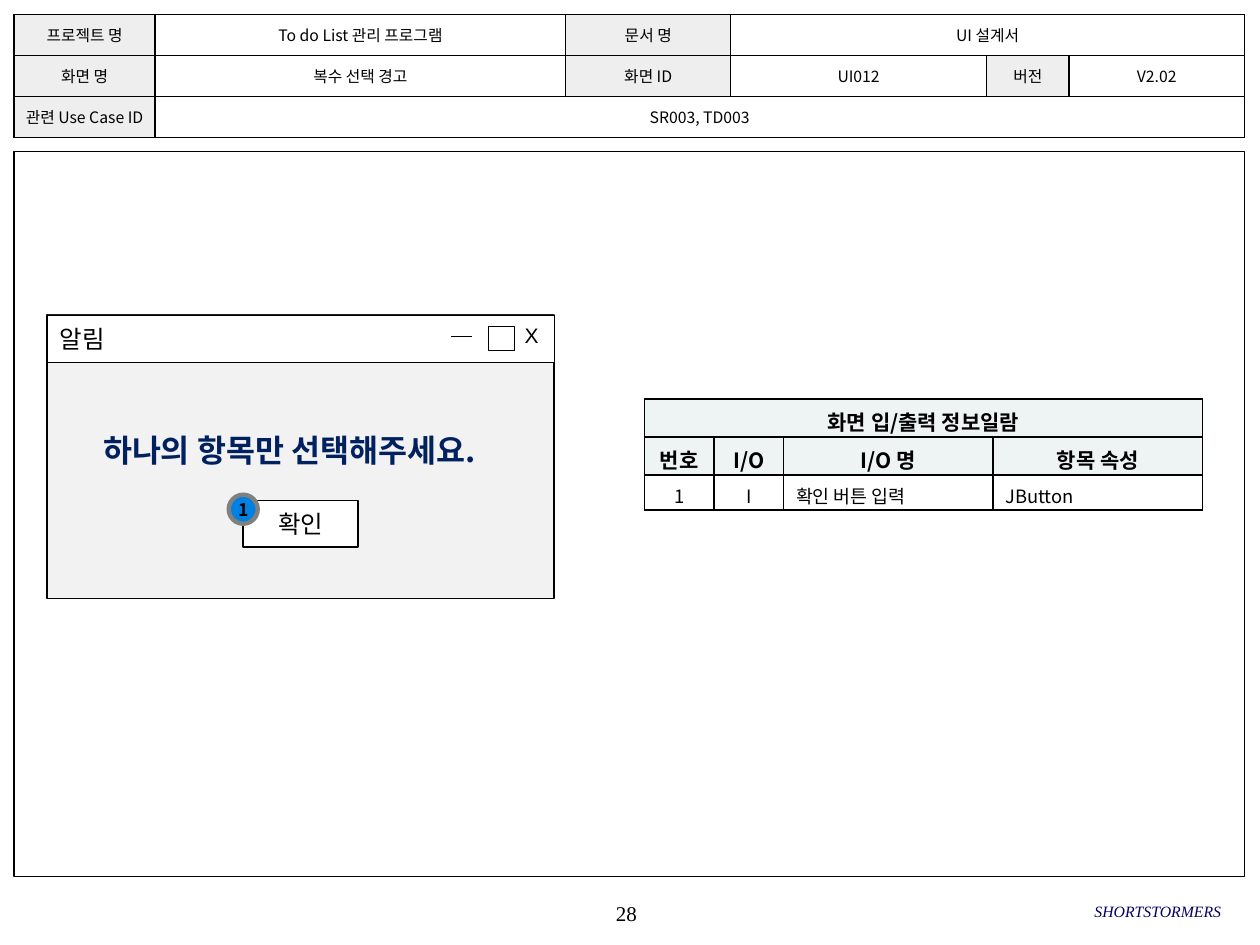
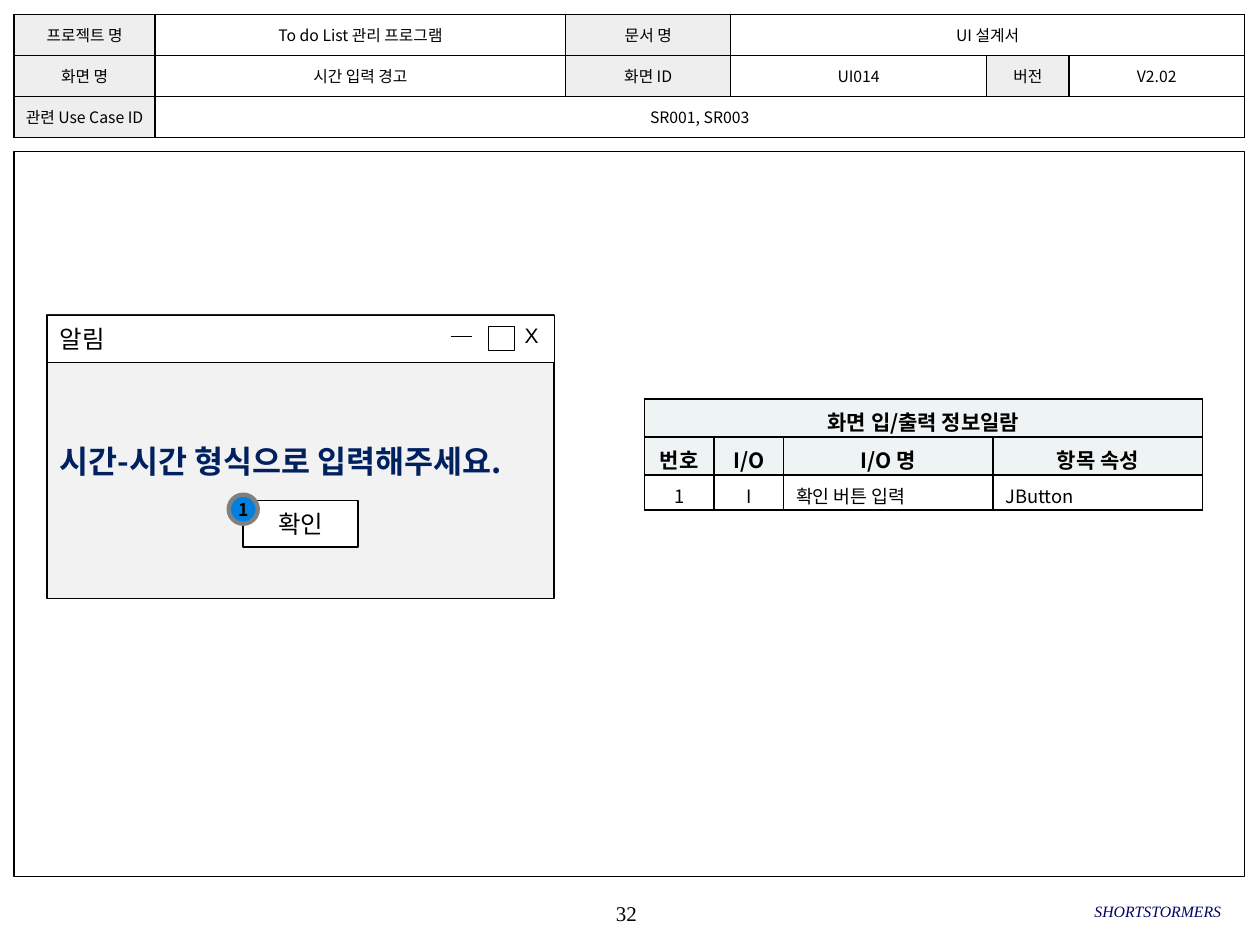
from dataclasses import dataclass

from lxml import etree
from pptx import Presentation
from pptx.dml.color import RGBColor
from pptx.enum.shapes import MSO_CONNECTOR, MSO_SHAPE
from pptx.enum.text import MSO_ANCHOR, PP_ALIGN
from pptx.oxml.ns import qn
from pptx.util import Pt

RECT, OVAL = MSO_SHAPE.RECTANGLE, MSO_SHAPE.OVAL
STRAIGHT = MSO_CONNECTOR.STRAIGHT
LEFT, CENTER, RIGHT = PP_ALIGN.LEFT, PP_ALIGN.CENTER, PP_ALIGN.RIGHT
MIDDLE = MSO_ANCHOR.MIDDLE
SIDES = ("left", "top", "right", "bottom")
BLANK_LAYOUT = 6


@dataclass(frozen=True)
class Theme:
    korean: str = "Noto Sans CJK KR"
    serif: str = "Times New Roman"
    sans: str = "Arial"
    ink: str = "000000"
    paper: str = "FFFFFF"
    label: str = "EEEEEE"
    panel: str = "F2F2F2"
    heading: str = "EEF4F4"
    message: str = "002060"
    team: str = "000066"
    badge: str = "0081E2"
    badge_rim: str = "808080"
    tiny: float = 9
    small: float = 10
    body: float = 10.5
    medium: float = 12
    large: float = 14
    huge: float = 18
    hairline: float = 0.25
    frame: float = 0.75
    border: float = 1
    rim: float = 2.5


class Deck:
    def __init__(self, theme):
        self.t = theme
        self.prs = Presentation()
        self.prs.slide_width, self.prs.slide_height = Pt(720), Pt(540)

    def new_slide(self):
        s = self.prs.slides.add_slide(self.prs.slide_layouts[BLANK_LAYOUT])
        self.slide_shapes = self.shapes = s.shapes

    def open_group(self):
        """Send the next elements into a new group."""
        self.shapes = self.slide_shapes.add_group_shape().shapes

    def close_group(self):
        self.shapes = self.slide_shapes

    def add_text(self, tf, text, size, color=None, font=None, align=LEFT, **style):
        p = tf.paragraphs[0]
        p.alignment = align
        r = p.add_run()
        r.text = text
        name = font or self.t.korean
        for key, value in {"name": name, "size": Pt(size), **style}.items():
            setattr(r.font, key, value)
        r.font.color.rgb = RGBColor.from_string(color or self.t.ink)
        etree.SubElement(r.font._element, qn("a:ea"), typeface=name)

    def frame_text(self, sp, text, inset=0, wrap=True, **style):
        tf = sp.text_frame
        tf.word_wrap = wrap
        tf.vertical_anchor = MIDDLE
        for side in SIDES:
            setattr(tf, f"margin_{side}", Pt(inset))
        self.add_text(tf, text, **style)

    def text(self, box, text, **style):
        self.frame_text(self.shapes.add_textbox(*map(Pt, box)), text, **style)

    def shape(self, kind, box, fill=None, line=None, width=1, text=None, **style):
        sp = self.shapes.add_shape(kind, *map(Pt, box))
        sp.shadow.inherit = False
        self.fill(sp.fill, fill)
        sp.line.color.rgb = RGBColor.from_string(line or self.t.ink)
        sp.line.width = Pt(width)
        if text:
            self.frame_text(sp, text, **style)

    def fill(self, target, color):
        if color:
            target.solid()
            target.fore_color.rgb = RGBColor.from_string(color)
        else:
            target.background()

    def line(self, x1, y1, x2, y2, width):
        cn = self.shapes.add_connector(STRAIGHT, *map(Pt, (x1, y1, x2, y2)))
        cn.line.color.rgb = RGBColor.from_string(self.t.ink)
        cn.line.width = Pt(width)
        etree.SubElement(cn._element.spPr, qn("a:effectLst"))

    def cell_borders(self, cell):
        tcPr = cell._tc.get_or_add_tcPr()
        for side in "LRTB":
            ln = etree.SubElement(tcPr, qn(f"a:ln{side}"), w=str(Pt(self.t.border)))
            solid = etree.SubElement(ln, qn("a:solidFill"))
            etree.SubElement(solid, qn("a:srgbClr"), val=self.t.ink)

    def table(self, left, top, widths, heights, rows, margins, look):
        """Draw a table; None extends the cell on its left, look(r, c) gives fill and text style."""
        box = (left, top, sum(widths), sum(heights))
        tbl = self.shapes.add_table(len(rows), len(widths), *map(Pt, box)).table
        tbl.first_row = tbl.horz_banding = False
        for col, width in zip(tbl.columns, widths):
            col.width = Pt(width)
        for r, (row, height) in enumerate(zip(rows, heights)):
            tbl.rows[r].height = Pt(height)
            for c, text in enumerate(row):
                cell = tbl.cell(r, c)
                fill, style = look(r, c)
                cell.vertical_anchor = MIDDLE
                for side, margin in zip(SIDES, margins):
                    setattr(cell, f"margin_{side}", Pt(margin))
                self.cell_borders(cell)
                self.fill(cell.fill, fill)
                if text is None:
                    continue
                self.add_text(cell.text_frame, text, **style)
                end = c
                while end + 1 < len(row) and row[end + 1] is None:
                    end += 1
                if end > c:
                    cell.merge(tbl.cell(r, end))

    def page_frame(self, number):
        t = self.t
        self.text((283, 509.8, 149.8, 23.8), str(number), size=t.medium,
                  font=t.serif, align=CENTER)
        self.shape(RECT, (8, 86.6, 703.4, 414.2), width=t.frame)
        self.text((477.4, 509, 220.3, 23.8), "SHORTSTORMERS", size=t.tiny,
                  font=t.serif, color=t.team, align=RIGHT, italic=True)

    def document_header(self, screen, screen_id, use_cases):
        t = self.t
        rows = [
            ["프로젝트 명", "To do List 관리 프로그램", "문서 명", "UI 설계서", None, None],
            ["화면 명", screen, "화면 ID", screen_id, "버전", "V2.02"],
            ["관련 Use Case ID", use_cases, None, None, None, None],
        ]
        labels = {(0, 0), (0, 2), (1, 0), (1, 2), (1, 4), (2, 0)}

        def look(r, c):
            fill = t.label if (r, c) in labels else None
            return fill, {"size": t.tiny, "align": CENTER}

        self.table(8, 8.4, [80.6, 234.7, 94.3, 146.2, 47.2, 100.1], [23.4] * 3,
                   rows, (2.9, 1.4, 2.9, 1.4), look)

    def alert_window(self, message, left, top, width):
        t = self.t
        x, y, w = 27, 180, 289.8
        self.open_group()
        self.shape(RECT, (x, y, w, 162), t.panel, width=t.border)
        self.shape(RECT, (x, y, w, 27.2), t.paper, width=t.hairline,
                   text="알림", size=t.large, inset=7.2)
        self.text((299.8, y + 1, 9.4, 21.6), "X", size=t.medium, font=t.sans, wrap=False)
        self.shape(RECT, (279, y + 6.5, 15, 13.7), t.paper, width=t.hairline)
        self.line(269.5, y + 12.4, 257.7, y + 12.4, t.hairline)
        self.shape(RECT, (139, 286, 65.6, 26.6), t.paper, width=t.border,
                   text="확인", size=t.large, align=CENTER)
        self.text((left, top, width, 29), message, size=t.huge, color=t.message,
                  bold=True, inset=7.2)
        self.close_group()
        self.shape(OVAL, (130.7, 282.7, 16.6, 16.6), t.badge, t.badge_rim, t.rim,
                   text="1", size=t.small, bold=True, align=CENTER, wrap=False)

    def io_list(self):
        t = self.t
        rows = [
            ["화면 입/출력 정보일람", None, None, None],
            ["번호", "I/O", "I/O 명", "항목 속성"],
            ["1", "I", "확인 버튼 입력", "JButton"],
        ]

        def look(r, c):
            if r < 2:
                return t.heading, {"size": t.medium, "bold": True, "align": CENTER}
            return t.paper, {"size": t.body, "align": CENTER if c < 2 else LEFT}

        self.table(368.2, 228, [39.8, 39.8, 119.7, 119.7], [21.7, 21.7, 20],
                   rows, (7.2, 3.6, 7.2, 0), look)


def main():
    screens = [
        (28, ("복수 선택 경고", "UI012", "SR003, TD003"),
         ("하나의 항목만 선택해주세요.", 51.8, 242.6, 250.6)),
        (32, ("시간 입력 경고", "UI014", "SR001, SR003"),
         ("시간-시간 형식으로 입력해주세요.", 27, 248.6, 294.5)),
    ]
    deck = Deck(Theme())
    for number, header, alert in screens:
        deck.new_slide()
        deck.page_frame(number)
        deck.document_header(*header)
        deck.alert_window(*alert)
        deck.io_list()
    deck.prs.save("out.pptx")


if __name__ == "__main__":
    main()
